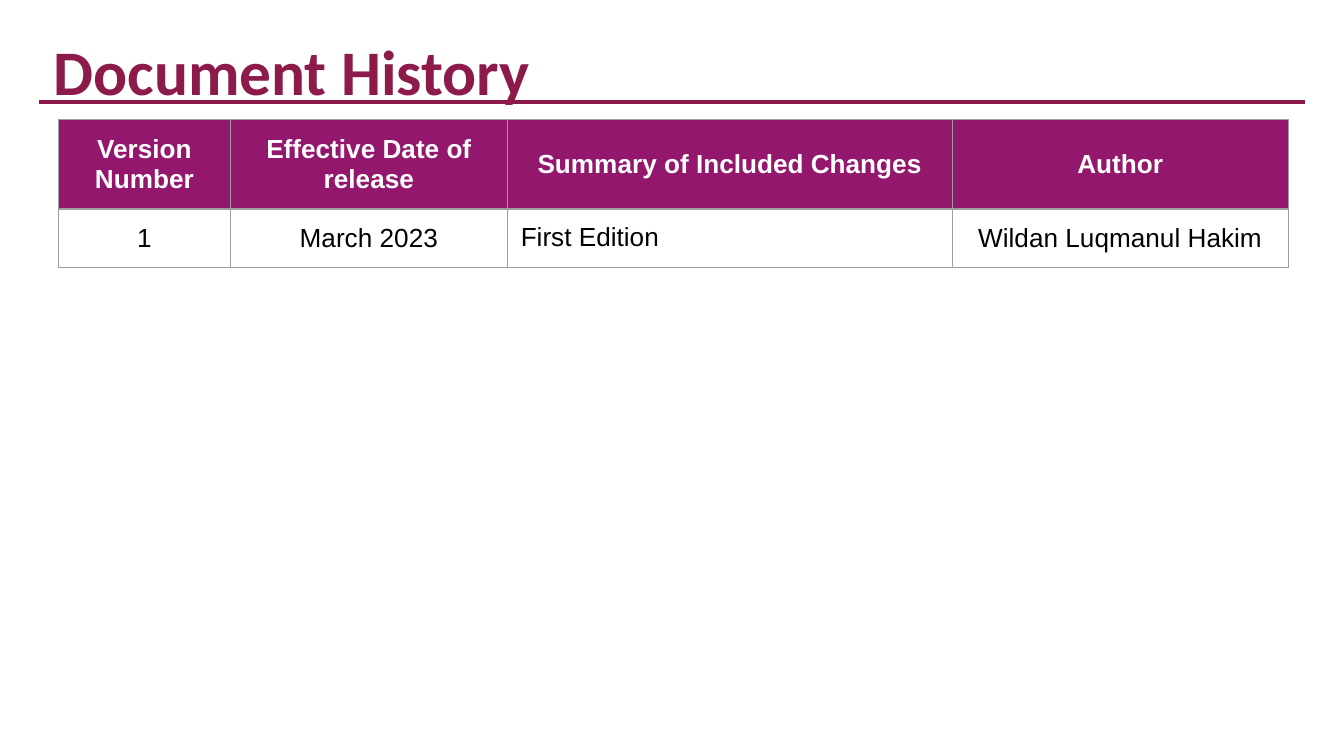
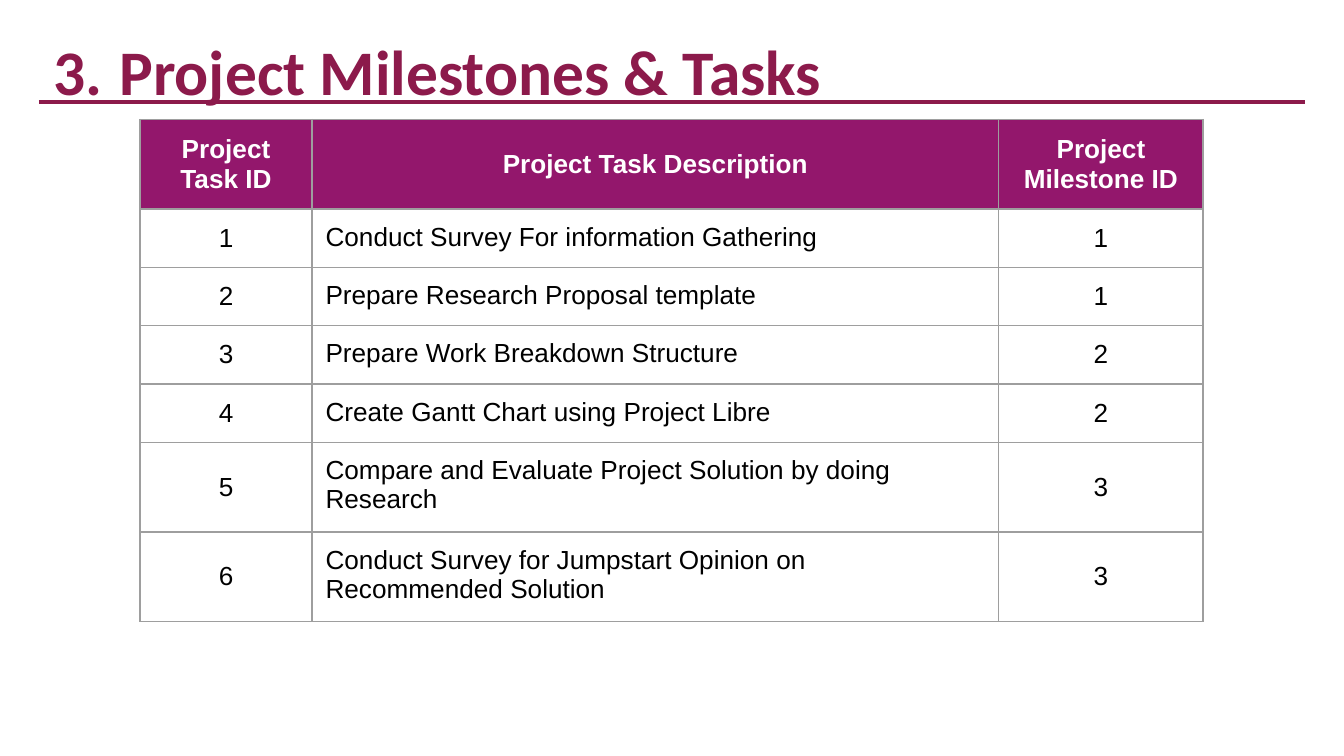
import lxml.etree
import pptx
import pptx.dml.color
import pptx.enum.shapes
import pptx.enum.text
import pptx.oxml.ns
import pptx.util

MAROON = pptx.dml.color.RGBColor(0x8C, 0x1A, 0x4B)
PURPLE = pptx.dml.color.RGBColor(0x93, 0x17, 0x6C)
GREY = pptx.dml.color.RGBColor(0x9E, 0x9E, 0x9E)
WHITE = pptx.dml.color.RGBColor(0xFF, 0xFF, 0xFF)
BLACK = pptx.dml.color.RGBColor(0, 0, 0)

qn = pptx.oxml.ns.qn
deck = pptx.Presentation()
deck.slide_width = pptx.util.Inches(10)
deck.slide_height = deck.slide_width * 9 // 16
PADDING = pptx.util.Inches(0.1)

# The grid has 100 columns and 100 rows per slide
COL = deck.slide_width / 100
ROW = deck.slide_height / 100
RULE_LEFT, RULE_RIGHT, RULE_ROW = 2.9, 97.1, 13.5
TABLE_TOP, TABLE_ROW = 15.8, 7.4

pages = [
    {
        "title": "Document History",
        "number": None,
        "left": 4.35,
        "columns": [12.8, 20.6, 33.1, 25],
        "prose_column": 2,
        "rows": [
            ["Version Number", "Effective Date of release",
             "Summary of Included Changes", "Author"],
            ["1", "March 2023", "First Edition", "Wildan Luqmanul Hakim"],
        ],
    },
    {
        "title": "Project Milestones & Tasks",
        "number": 3,
        "left": 10.42,
        "columns": [12.8, 51.1, 15.2],
        "prose_column": 1,
        "rows": [
            ["Project\nTask ID", "Project Task Description", "Project\nMilestone ID"],
            ["1", "Conduct Survey For information Gathering", "1"],
            ["2", "Prepare Research Proposal template", "1"],
            ["3", "Prepare Work Breakdown Structure", "2"],
            ["4", "Create Gantt Chart using Project Libre", "2"],
            ["5", "Compare and Evaluate Project Solution by doing Research", "3"],
            ["6", "Conduct Survey for Jumpstart Opinion on Recommended Solution", "3"],
        ],
    },
]


def indent_title(paragraph, number):
    """Indent the title, with a hanging automatic number if one is given."""
    props = paragraph._p.get_or_add_pPr()
    props.set("marL", str(pptx.util.Inches(0.5 if number else 0.01)))
    props.set("indent", str(pptx.util.Inches(-0.49 if number else 0)))
    if number:
        colour = lxml.etree.SubElement(props, qn("a:buClr"))
        lxml.etree.SubElement(colour, qn("a:srgbClr"), val=str(MAROON))
        lxml.etree.SubElement(props, qn("a:buFont"), typeface="Calibri")
        lxml.etree.SubElement(props, qn("a:buAutoNum"), type="arabicPeriod", startAt=str(number))


def outline_cell(cell):
    props = cell._tc.get_or_add_tcPr()
    for position, side in enumerate(["a:lnL", "a:lnR", "a:lnT", "a:lnB"]):
        border = lxml.etree.Element(qn(side), w=str(pptx.util.Pt(0.75)))
        fill = lxml.etree.SubElement(border, qn("a:solidFill"))
        lxml.etree.SubElement(fill, qn("a:srgbClr"), val=str(GREY))
        props.insert(position, border)


for page in pages:
    slide = deck.slides.add_slide(deck.slide_layouts[6])

    rule = slide.shapes.add_connector(
        pptx.enum.shapes.MSO_CONNECTOR.STRAIGHT,
        round(RULE_LEFT * COL), round(RULE_ROW * ROW),
        round(RULE_RIGHT * COL), round(RULE_ROW * ROW))
    rule.line.color.rgb = MAROON
    rule.line.width = pptx.util.Pt(2.25)
    lxml.etree.SubElement(rule._element.spPr, qn("a:effectLst"))

    title = slide.shapes.add_textbox(
        round(RULE_LEFT * COL), round(0.9 * ROW), round(68.5 * COL), round(13.7 * ROW))
    frame = title.text_frame
    frame.word_wrap = True
    frame.auto_size = pptx.enum.text.MSO_AUTO_SIZE.SHAPE_TO_FIT_TEXT
    frame.margin_left = frame.margin_right = PADDING
    frame.margin_top = frame.margin_bottom = PADDING
    frame.text = page["title"]
    heading = frame.paragraphs[0]
    indent_title(heading, page["number"])
    heading.line_spacing = 1.15
    font = heading.runs[0].font
    font.name, font.size, font.bold = "Calibri", pptx.util.Pt(34), True
    font.color.rgb = MAROON

    table = slide.shapes.add_table(
        len(page["rows"]), len(page["columns"]),
        round(page["left"] * COL), round(TABLE_TOP * ROW),
        round(sum(page["columns"]) * COL),
        round(len(page["rows"]) * TABLE_ROW * ROW)).table
    table.first_row = table.horz_banding = False
    for column, width in zip(table.columns, page["columns"]):
        column.width = round(width * COL)

    for r, texts in enumerate(page["rows"]):
        table.rows[r].height = round(TABLE_ROW * ROW)
        for c, text in enumerate(texts):
            cell = table.cell(r, c)
            is_header = r == 0
            is_prose = not is_header and c == page["prose_column"]
            cell.text_frame.text = text
            cell.margin_left = cell.margin_right = PADDING
            cell.margin_top = cell.margin_bottom = PADDING
            if is_header:
                cell.fill.solid()
                cell.fill.fore_color.rgb = PURPLE
            else:
                cell.fill.background()
            outline_cell(cell)
            if is_prose:
                cell.vertical_anchor = pptx.enum.text.MSO_ANCHOR.TOP
                alignment = pptx.enum.text.PP_ALIGN.LEFT
            else:
                cell.vertical_anchor = pptx.enum.text.MSO_ANCHOR.MIDDLE
                alignment = pptx.enum.text.PP_ALIGN.CENTER
            for paragraph in cell.text_frame.paragraphs:
                paragraph.alignment = alignment
                font = paragraph.runs[0].font
                font.name, font.size, font.bold = "Arial", pptx.util.Pt(14), is_header
                font.color.rgb = WHITE if is_header else BLACK

deck.save("out.pptx")
